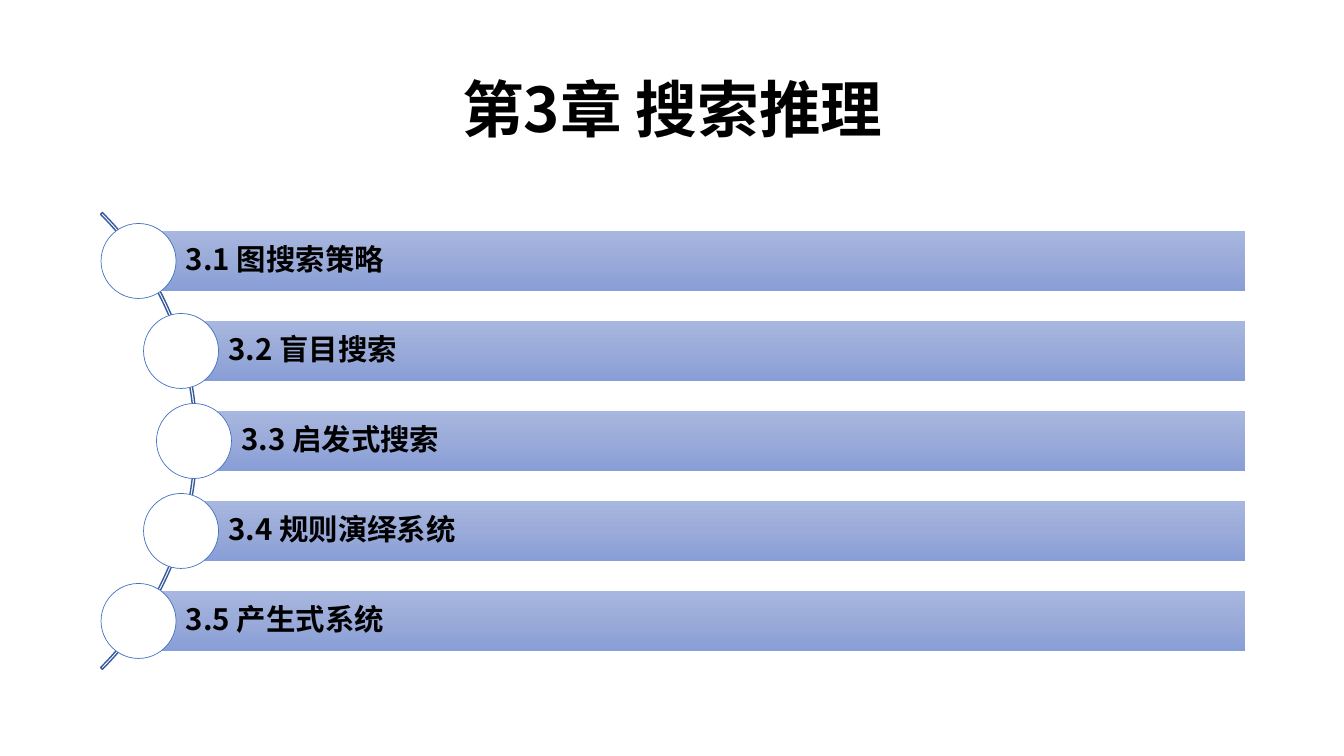
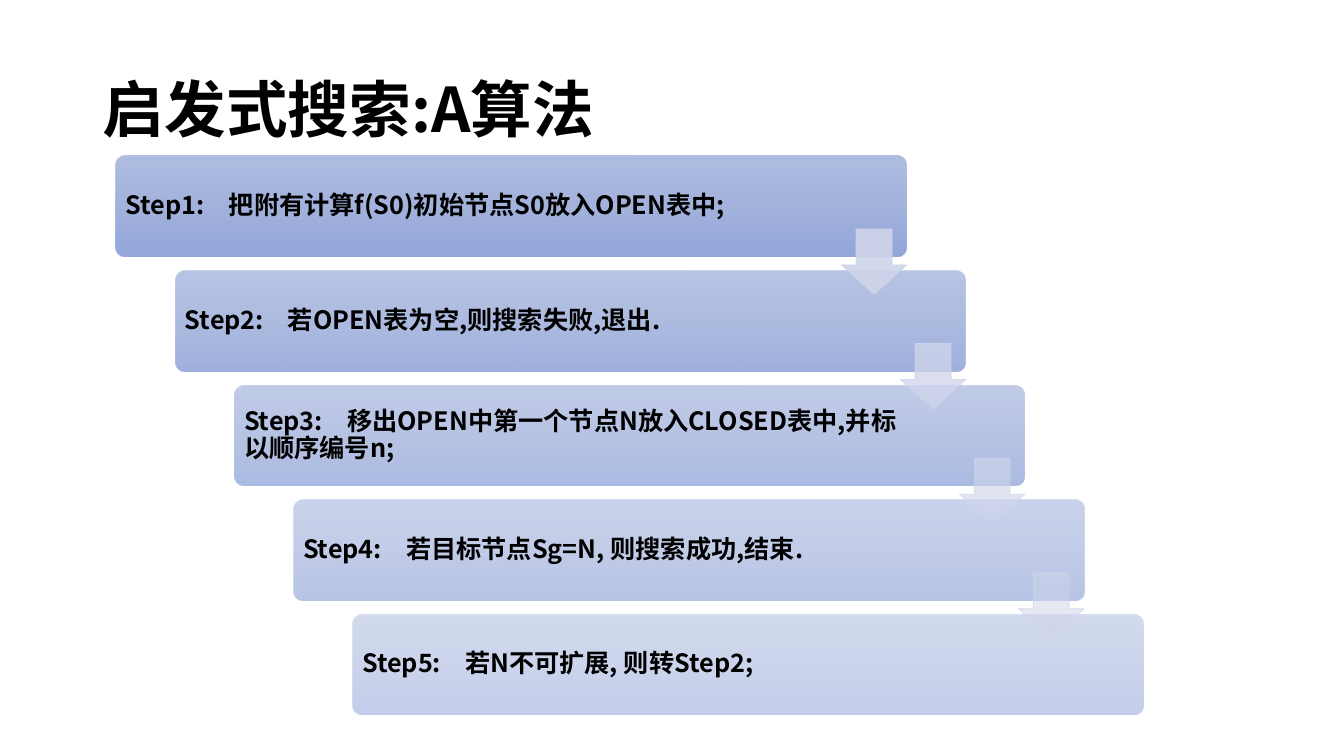
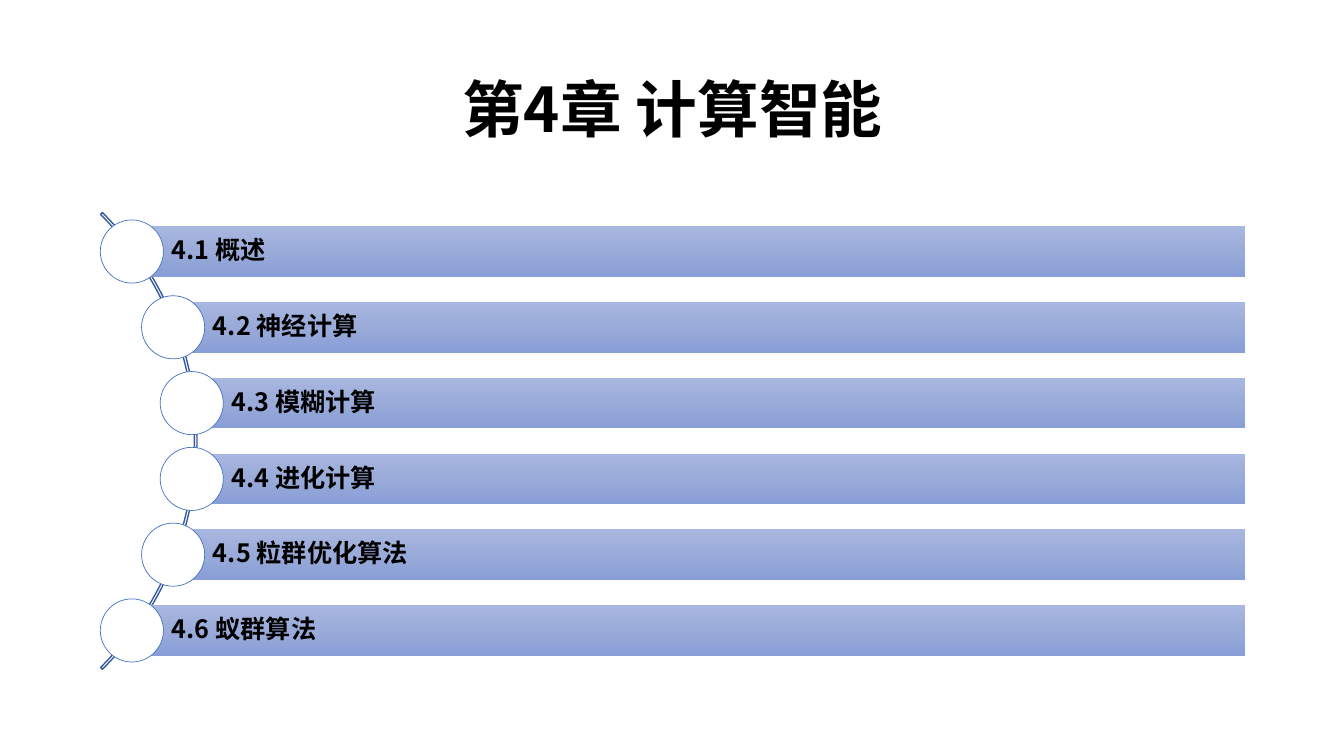
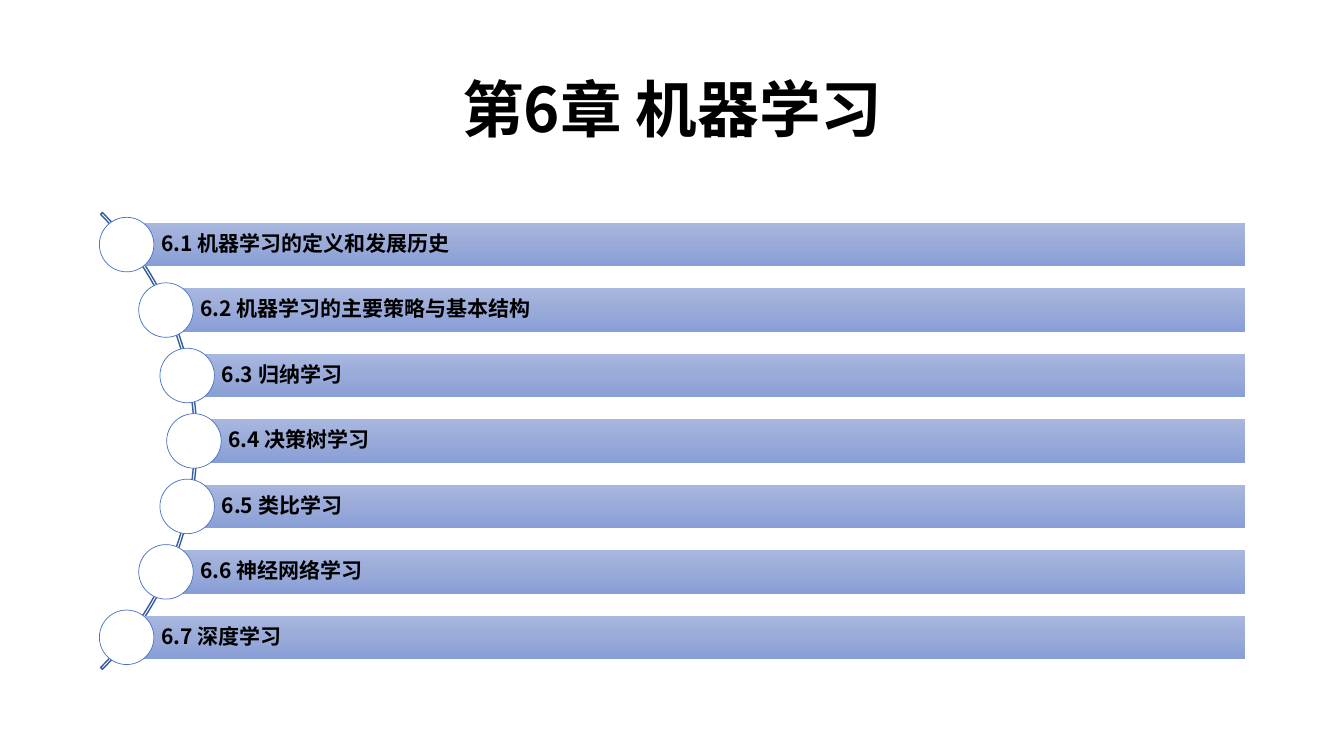
from lxml import etree
from pptx import Presentation
from pptx.dml.color import RGBColor
from pptx.enum.shapes import MSO_SHAPE
from pptx.enum.text import MSO_ANCHOR, PP_ALIGN
from pptx.oxml.ns import qn
from pptx.util import Emu, Pt

# Shared style
EMU_PER_PX = 914400 / 100.8
FONT = "Noto Sans CJK SC"
COLORS = {
    "text": "000000",
    "white": "FFFFFF",
    "band_top": "A8B7DF",
    "band_middle": "9AABD9",
    "band_bottom": "889ED7",
    "circle_line": "4472C4",
    "arc_line": "365B9D",
    "arrow": "CFD5EA",
}
TITLE_BOX = (93, 40, 1159, 146)
CHAPTER_BOX = (100, 201, 1145, 480)
STEPS_BOX = (116, 156, 1027, 559)

CHAPTERS_BEFORE = [
    ("第3章 搜索推理", 21,
     ["3.1 图搜索策略", "3.2 盲目搜索", "3.3 启发式搜索", "3.4 规则演绎系统", "3.5 产生式系统"]),
]
CHAPTERS_AFTER = [
    ("第4章 计算智能", 18,
     ["4.1 概述", "4.2 神经计算", "4.3 模糊计算", "4.4 进化计算", "4.5 粒群优化算法", "4.6 蚁群算法"]),
    ("第6章 机器学习", 15,
     ["6.1 机器学习的定义和发展历史", "6.2 机器学习的主要策略与基本结构", "6.3 归纳学习",
      "6.4 决策树学习", "6.5 类比学习", "6.6 神经网络学习", "6.7 深度学习"]),
]
STEPS_TITLE = "启发式搜索:A算法"
STEPS = [
    "Step1:\t把附有计算f(S0)初始节点S0放入OPEN表中;",
    "Step2:\t若OPEN表为空,则搜索失败,退出.",
    "Step3:\t移出OPEN中第一个节点N放入CLOSED表中,并标以顺序编号n;",
    "Step4:\t若目标节点Sg=N, 则搜索成功,结束.",
    "Step5:\t若N不可扩展, 则转Step2;",
]


def px(length):
    return Emu(round(length * EMU_PER_PX))


def color(name):
    return RGBColor.from_string(COLORS[name])


# Formatting helpers
def add_alpha(color_element, percent):
    etree.SubElement(color_element, qn("a:alpha")).set("val", str(round(percent * 1000)))


def fill_band(shape, alpha=100):
    """Vertical three-stop gradient shared by all bands."""
    shape.fill.gradient()
    shape.fill.gradient_angle = 270
    stops = shape._element.spPr.find(qn("a:gradFill")).find(qn("a:gsLst"))
    for stop in list(stops):
        stops.remove(stop)
    for position, name in ((0, "band_top"), (50, "band_middle"), (100, "band_bottom")):
        stop = etree.SubElement(stops, qn("a:gs"), pos=str(position * 1000))
        stop_color = etree.SubElement(stop, qn("a:srgbClr"), val=COLORS[name])
        if alpha < 100:
            add_alpha(stop_color, alpha)


def add_plain_shape(slide, kind, box, line=None, line_width=0.5):
    shape = slide.shapes.add_shape(kind, *map(px, box))
    shape.shadow.inherit = False
    if line:
        shape.line.color.rgb = color(line)
        shape.line.width = Pt(line_width)
    else:
        shape.line.fill.background()
    return shape


def set_text(shape, text, size, insets, align=PP_ALIGN.LEFT, tab_stop=None):
    frame = shape.text_frame
    frame.word_wrap = True
    frame.vertical_anchor = MSO_ANCHOR.MIDDLE
    frame.margin_left, frame.margin_top, frame.margin_right, frame.margin_bottom = map(px, insets)
    paragraph = frame.paragraphs[0]
    paragraph.text = text
    paragraph.alignment = align
    paragraph.line_spacing = 0.9
    if tab_stop:
        tabs = etree.SubElement(paragraph._p.get_or_add_pPr(), qn("a:tabLst"))
        etree.SubElement(tabs, qn("a:tab"), pos=str(px(tab_stop)), algn="l")
    for run in paragraph.runs:
        run.font.size = Pt(size)
        run.font.bold = True
        run.font.color.rgb = color("text")
        run.font.name = FONT
        etree.SubElement(run.font._element, qn("a:ea"), typeface=FONT)


# Title
def add_title(slide, text, align):
    title = slide.shapes.add_textbox(*map(px, TITLE_BOX))
    set_text(title, text, 44, (10, 5, 10, 5), align)


# Chapter contents: bands whose circles follow an arc
def add_chapter_list(slide, box, entries, size):
    left, top, width, height = box
    center_x, center_y = left - 226, top + height / 2
    arc_radius, circle_path = 323, 320
    arc = add_plain_shape(
        slide, MSO_SHAPE.BLOCK_ARC,
        (center_x - arc_radius, center_y - arc_radius, 2 * arc_radius, 2 * arc_radius),
        "arc_line", 1)
    arc.fill.background()
    for index, value in enumerate((189, 27, 0.004)):
        arc.adjustments[index] = value

    # Each band is two gaps high, with a gap above and below
    gap = height / (3 * len(entries) + 1)
    band_height, diameter = 2 * gap, 2.5 * gap
    for index, entry in enumerate(entries):
        band_top = top + gap + 3 * gap * index
        middle = band_top + gap
        circle_x = center_x + (circle_path ** 2 - (middle - center_y) ** 2) ** 0.5
        band = add_plain_shape(slide, MSO_SHAPE.RECTANGLE,
                               (circle_x, band_top, left + width - circle_x, band_height))
        fill_band(band)
        inset = band_height / 10
        set_text(band, entry, size, (0.79 * band_height, inset, inset, inset))
        circle = add_plain_shape(
            slide, MSO_SHAPE.OVAL,
            (circle_x - diameter / 2, middle - diameter / 2, diameter, diameter), "circle_line")
        circle.fill.solid()
        circle.fill.fore_color.rgb = color("white")


# Staircase of steps joined by arrows
def add_steps(slide, box, steps):
    left, top, width, height = box
    step_width, step_height = 0.77 * width, 0.18 * height
    shift_x = (width - step_width) / (len(steps) - 1)
    shift_y = (height - step_height) / (len(steps) - 1)
    corners = [(left + shift_x * index, top + shift_y * index) for index in range(len(steps))]

    for index, (step, (x, y)) in enumerate(zip(steps, corners)):
        panel = add_plain_shape(slide, MSO_SHAPE.ROUNDED_RECTANGLE, (x, y, step_width, step_height))
        panel.adjustments[0] = 0.1
        fill_band(panel, 90 - 10 * index)
        set_text(panel, step, 18, (7, 7, 121, 7), tab_stop=103)

    arrow_size = 0.65 * step_height
    for index, (x, y) in enumerate(corners[:-1]):
        arrow = add_plain_shape(
            slide, MSO_SHAPE.DOWN_ARROW,
            (x + step_width - arrow_size, y + 73, arrow_size, arrow_size), "arrow")
        arrow.adjustments[0] = 0.55
        arrow.adjustments[1] = 0.45
        arrow.fill.solid()
        arrow.fill.fore_color.rgb = color("arrow")
        properties = arrow._element.spPr
        add_alpha(properties.find(qn("a:solidFill"))[0], 90 - 40 * index / (len(steps) - 2))
        add_alpha(properties.find(qn("a:ln")).find(qn("a:solidFill"))[0], 90)


# Slides
def add_blank_slide(presentation):
    return presentation.slides.add_slide(presentation.slide_layouts[6])


def add_chapter_slide(presentation, title, size, entries):
    slide = add_blank_slide(presentation)
    add_title(slide, title, PP_ALIGN.CENTER)
    add_chapter_list(slide, CHAPTER_BOX, entries, size)


def add_steps_slide(presentation):
    slide = add_blank_slide(presentation)
    add_title(slide, STEPS_TITLE, PP_ALIGN.LEFT)
    add_steps(slide, STEPS_BOX, STEPS)


def main():
    presentation = Presentation()
    presentation.slide_width, presentation.slide_height = px(1344), px(756)
    for chapter in CHAPTERS_BEFORE:
        add_chapter_slide(presentation, *chapter)
    add_steps_slide(presentation)
    for chapter in CHAPTERS_AFTER:
        add_chapter_slide(presentation, *chapter)
    presentation.save("out.pptx")


if __name__ == "__main__":
    main()
